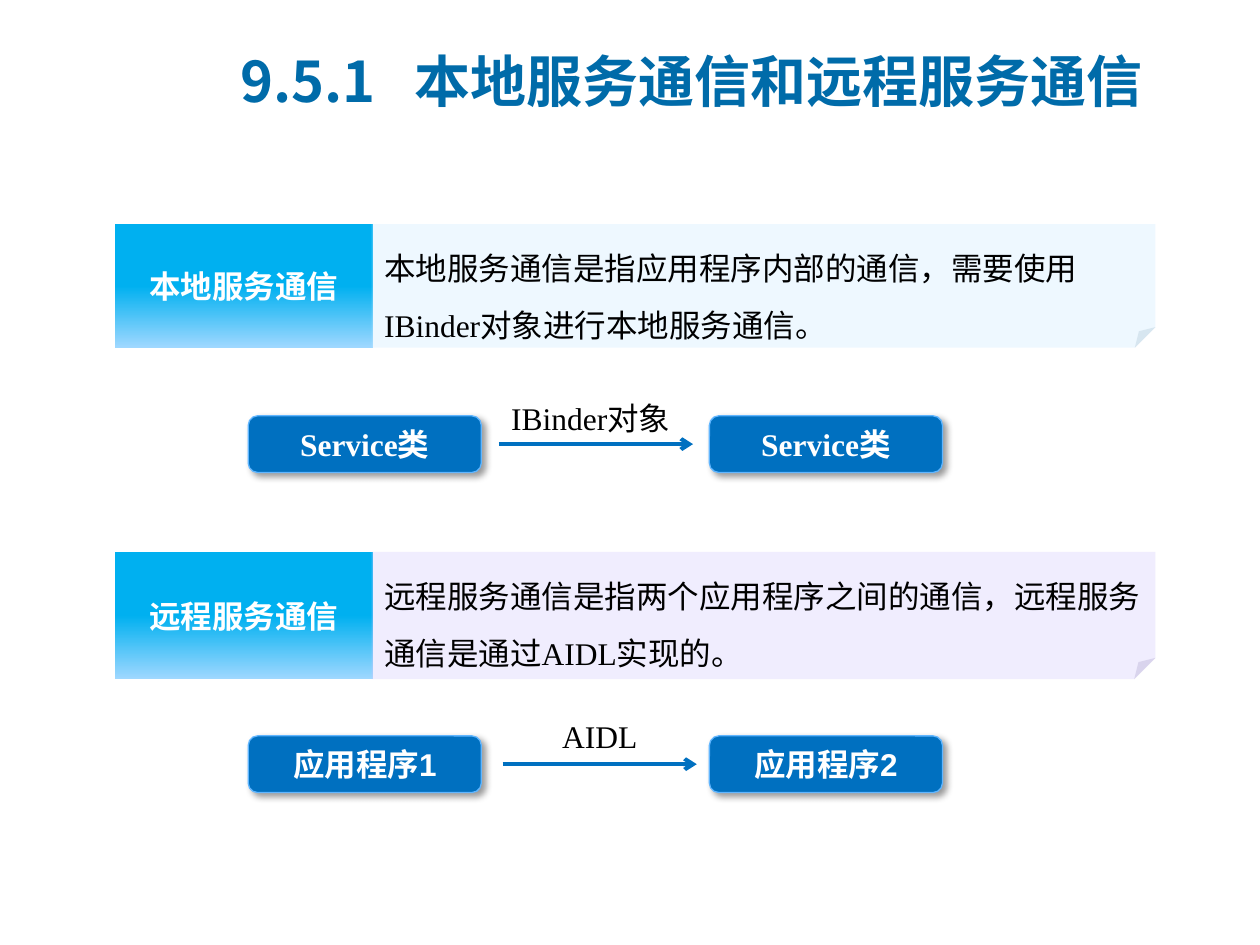
from copy import deepcopy
from dataclasses import dataclass

from lxml import etree
from pptx import Presentation
from pptx.dml.color import RGBColor
from pptx.enum.shapes import MSO_CONNECTOR, MSO_SHAPE
from pptx.enum.text import MSO_ANCHOR, PP_ALIGN
from pptx.oxml.ns import qn
from pptx.util import Inches, Pt

RECT, FOLDED, ROUNDED = MSO_SHAPE.RECTANGLE, MSO_SHAPE.FOLDED_CORNER, MSO_SHAPE.ROUNDED_RECTANGLE
STRAIGHT = MSO_CONNECTOR.STRAIGHT
TOP, MIDDLE = MSO_ANCHOR.TOP, MSO_ANCHOR.MIDDLE
LEFT, CENTER = PP_ALIGN.LEFT, PP_ALIGN.CENTER

# The slide is a grid of 100 columns and 100 rows
COL, ROW = Inches(10) / 100, Inches(7.5) / 100


@dataclass(frozen=True)
class Theme:
    title: str = "006BA9"
    node: str = "0070C0"
    node_line: str = "61B6FF"
    heading: tuple = ((0, "00B0F0"), (0.5, "00B0F0"), (1, "9FD8FF"))
    light: str = "FFFFFF"
    dark: str = "000000"
    title_size: int = 32
    body_size: int = 18
    cjk: str = "Noto Sans CJK SC"
    sans: str = "Arial"
    serif: str = "Times New Roman"
    calibri: str = "Calibri"


T = Theme()


@dataclass(frozen=True)
class Box:
    col: float
    row: float
    cols: float
    rows: float

    def emu(self) -> tuple:
        return (round(self.col * COL), round(self.row * ROW),
                round(self.cols * COL), round(self.rows * ROW))


Runs = tuple[tuple[str, str], ...]  # (text, font) pairs


@dataclass(frozen=True)
class Section:
    row: float
    rows: float
    heading: Runs
    body: Runs
    body_fill: str
    body_alpha: int
    node_row: float
    nodes: tuple[Runs, Runs]
    link: Runs
    link_box: tuple[float, float]  # column, row
    arrow_col: float


SECTIONS = (
    Section(23.73, 13.07, (("本地服务通信", T.serif),),
            (("本地服务通信是指应用程序内部的通信，需要使用", T.sans),
             ("IBinder", T.serif), ("对象进行本地服务通信。", T.sans)),
            "C5E8FF", 28, 44,
            ((("Service", T.serif), ("类", T.sans)),) * 2,
            (("IBinder", T.serif), ("对象", T.calibri)), (38.1, 41.6), 39.6),
    Section(58.4, 13.47, (("远程服务通信", T.cjk),),
            (("远程服务通信是指两个应用程序之间的通信，远程服务通信是通过", T.sans),
             ("AIDL", T.serif), ("实现的。", T.sans)),
            "D1C7FD", 31, 77.87,
            ((("应用程序1", T.sans),), (("应用程序2", T.sans),)),
            (("AIDL", T.serif),), (38.8, 75.2), 39.9),
)
HEADING_COL, HEADING_COLS = 9.1, 20.5
BODY_COL, BODY_COLS = 29.5, 62.2
NODE_COLS, NODE_ROWS = 18.5, 6
NODE_STARTS = (19.7, 56.3)
ARROW_COLS = 15.4
LINK_COLS, LINK_ROWS = 17.6, 5.33


def rgb(color: str) -> RGBColor:
    return RGBColor.from_string(color)


def write(sp, runs: Runs, color: str, size: int = T.body_size, bold: bool = False,
          align=CENTER, anchor=MIDDLE):
    tf = sp.text_frame
    tf.word_wrap = True
    tf.vertical_anchor = anchor
    p = tf.paragraphs[0]
    p.alignment = align
    for text, font in runs:
        r = p.add_run()
        r.text = text
        r.font.name, r.font.size, r.font.bold = font, Pt(size), bold
        r.font.color.rgb = rgb(color)
        etree.SubElement(r.font._element, qn("a:ea"), typeface=T.cjk)
    return p


def add_shape(slide, kind, box: Box):
    sp = slide.shapes.add_shape(kind, *box.emu())
    sp.shadow.inherit = False
    sp.line.fill.background()
    return sp


def add_heading(slide, box: Box, runs: Runs) -> None:
    sp = add_shape(slide, RECT, box)
    sp.fill.gradient()
    sp.fill.gradient_angle = 270
    stop_list = sp._element.spPr.find(".//" + qn("a:gsLst"))
    stop_list.insert(1, deepcopy(stop_list[0]))
    for stop, (position, color) in zip(sp.fill.gradient_stops, T.heading):
        stop.position = position
        stop.color.rgb = rgb(color)
    write(sp, runs, T.light, bold=True)


def add_body(slide, box: Box, runs: Runs, fill: str, alpha: int) -> None:
    sp = add_shape(slide, FOLDED, box)
    sp.fill.solid()
    sp.fill.fore_color.rgb = rgb(fill)
    color = sp._element.spPr.find(qn("a:solidFill"))[0]
    etree.SubElement(color, qn("a:alpha"), val=str(alpha * 1000))
    write(sp, runs, T.dark, align=LEFT, anchor=TOP).line_spacing = 1.5


def add_node(slide, box: Box, runs: Runs) -> None:
    sp = add_shape(slide, ROUNDED, box)
    sp.fill.solid()
    sp.fill.fore_color.rgb = rgb(T.node)
    sp.line.color.rgb = rgb(T.node_line)
    sp.line.width = Pt(0.75)
    effects = sp._element.spPr.find(qn("a:effectLst"))
    shadow = etree.SubElement(effects, qn("a:outerShdw"), blurRad=str(Pt(4)),
                              dist=str(Pt(3)), dir=str(45 * 60000), algn="tl", rotWithShape="0")
    color = etree.SubElement(shadow, qn("a:srgbClr"), val=T.dark)
    etree.SubElement(color, qn("a:alpha"), val="40000")
    write(sp, runs, T.light, bold=True)


def add_arrow(slide, col: float, row: float) -> None:
    x, y, length, _ = Box(col, row, ARROW_COLS, 0).emu()
    line = slide.shapes.add_connector(STRAIGHT, x, y, x + length, y)
    line.line.color.rgb = rgb(T.node)
    line.line.width = Pt(2.25)
    etree.SubElement(line.line._get_or_add_ln(), qn("a:tailEnd"), type="arrow")
    etree.SubElement(line._element.spPr, qn("a:effectLst"))


def add_section(slide, s: Section) -> None:
    # Heading and explanation
    add_heading(slide, Box(HEADING_COL, s.row, HEADING_COLS, s.rows), s.heading)
    add_body(slide, Box(BODY_COL, s.row, BODY_COLS, s.rows), s.body, s.body_fill, s.body_alpha)
    # Two nodes joined by a labelled arrow
    for col, runs in zip(NODE_STARTS, s.nodes):
        add_node(slide, Box(col, s.node_row, NODE_COLS, NODE_ROWS), runs)
    add_arrow(slide, s.arrow_col, s.node_row + NODE_ROWS / 2)
    label = slide.shapes.add_textbox(*Box(*s.link_box, LINK_COLS, LINK_ROWS).emu())
    write(label, s.link, T.dark)


def add_title(slide) -> None:
    sp = slide.shapes.add_textbox(*Box(18.1, 2.93, 76.8, 11.2).emu())
    p = write(sp, (("9.5.1\t本地服务通信和远程服务通信", T.cjk),), T.title,
              T.title_size, bold=True, align=LEFT)
    # Tab stop between the number and the words
    tabs = etree.SubElement(p._p.get_or_add_pPr(), qn("a:tabLst"))
    etree.SubElement(tabs, qn("a:tab"), pos=str(Inches(1.38)), algn="l")


def main() -> None:
    prs = Presentation()
    prs.slide_width, prs.slide_height = Inches(10), Inches(7.5)
    slide = prs.slides.add_slide(prs.slide_layouts[6])
    for section in SECTIONS:
        add_section(slide, section)
    add_title(slide)
    prs.save("out.pptx")


if __name__ == "__main__":
    main()
